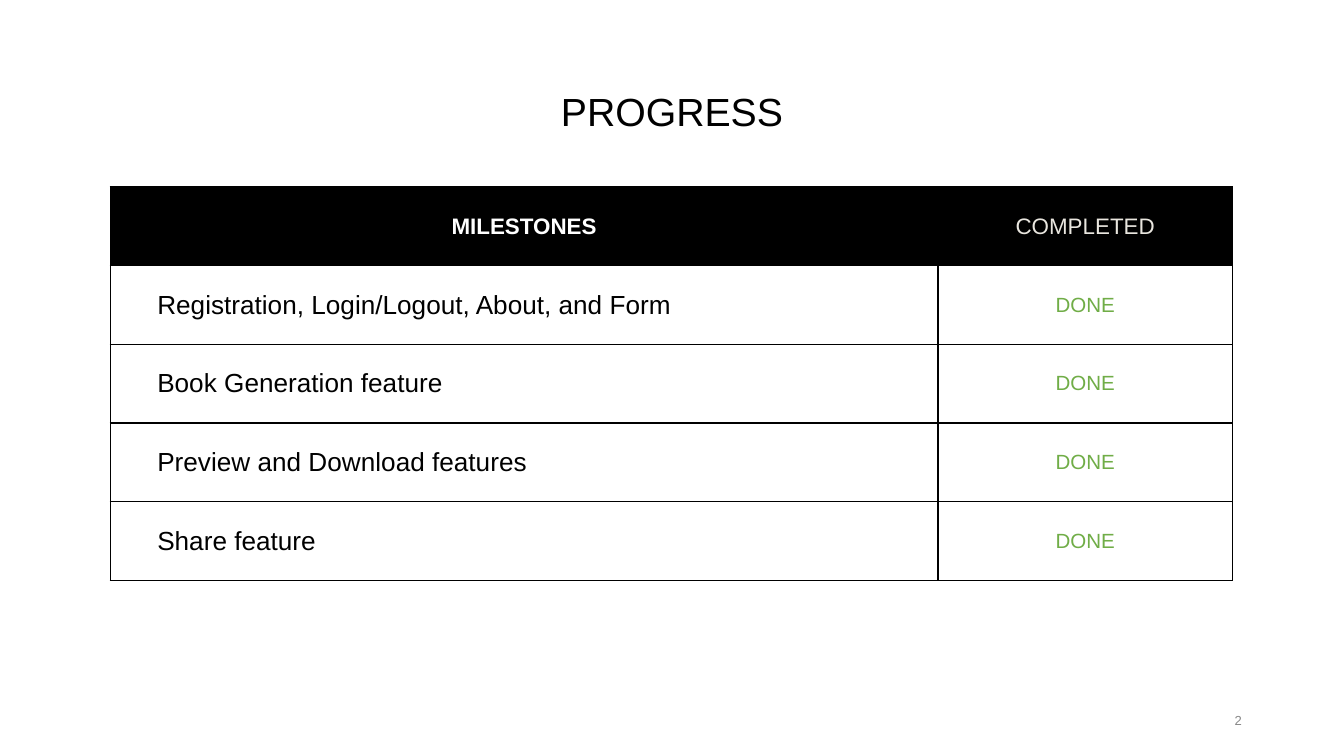
from lxml import etree
from pptx import Presentation
from pptx.dml.color import RGBColor
from pptx.enum.text import MSO_ANCHOR, PP_ALIGN
from pptx.oxml.ns import qn
from pptx.util import Inches, Pt

BLACK = RGBColor(0x00, 0x00, 0x00)
WHITE = RGBColor(0xFF, 0xFF, 0xFF)
CREAM = RGBColor(0xE9, 0xE6, 0xDF)
GREEN = RGBColor(0x70, 0xAD, 0x47)
GRAY = RGBColor(0x88, 0x88, 0x88)
FONT = "Arial"

TITLE = "PROGRESS"
PAGE_NUMBER = "2"
HEADINGS = ("MILESTONES", "COMPLETED")
MILESTONES = [
    ("Registration, Login/Logout, About, and Form", "DONE"),
    ("Book Generation feature", "DONE"),
    ("Preview and Download features", "DONE"),
    ("Share feature", "DONE"),
]

# Per column: size, colour, bold, alignment, left margin
HEADING_STYLES = [
    (12, WHITE, True, PP_ALIGN.CENTER, 0.07),
    (12, CREAM, False, PP_ALIGN.CENTER, 0.07),
]
MILESTONE_STYLES = [
    (14, BLACK, False, PP_ALIGN.LEFT, 0.35),
    (11, GREEN, False, PP_ALIGN.CENTER, 0.07),
]

SLIDE_WIDTH = 10
SLIDE_HEIGHT = SLIDE_WIDTH * 9 / 16
TABLE_LEFT, TABLE_TOP = 0.82, 1.39
TABLE_HEIGHT = 2.93
COLUMN_WIDTHS = (6.16, 2.19)


def format_paragraph(paragraph, size, color, bold, align):
    paragraph.alignment = align
    for run in paragraph.runs:
        run.font.name = FONT
        run.font.size = Pt(size)
        run.font.bold = bold
        run.font.color.rgb = color


def fill_frame(frame, text, size, color, align):
    """Put one vertically centred line into a shape's text frame."""
    frame.text = text
    frame.word_wrap = True
    frame.vertical_anchor = MSO_ANCHOR.MIDDLE
    frame.margin_left = frame.margin_right = Inches(0.07)
    frame.margin_top = frame.margin_bottom = Inches(0.04)
    format_paragraph(frame.paragraphs[0], size, color, False, align)


def add_borders(cell):
    properties = cell._tc.get_or_add_tcPr()
    for side in ("lnL", "lnR", "lnT", "lnB"):
        line = etree.SubElement(properties, qn(f"a:{side}"), w=str(Pt(0.75)))
        solid = etree.SubElement(line, qn("a:solidFill"))
        etree.SubElement(solid, qn("a:srgbClr"), val=str(BLACK))


def fill_cell(cell, text, style, background):
    size, color, bold, align, margin_left = style
    cell.text = text
    cell.vertical_anchor = MSO_ANCHOR.MIDDLE
    cell.margin_left, cell.margin_right = Inches(margin_left), Inches(0.07)
    cell.margin_top = cell.margin_bottom = Inches(0.05)
    format_paragraph(cell.text_frame.paragraphs[0], size, color, bold, align)
    add_borders(cell)
    if background is None:
        cell.fill.background()
    else:
        cell.fill.solid()
        cell.fill.fore_color.rgb = background


def add_milestone_table(slide):
    rows = [HEADINGS, *MILESTONES]
    table = slide.shapes.add_table(
        len(rows), len(COLUMN_WIDTHS), Inches(TABLE_LEFT), Inches(TABLE_TOP),
        Inches(sum(COLUMN_WIDTHS)), Inches(TABLE_HEIGHT),
    ).table
    table.first_row = table.horz_banding = False
    for column, width in zip(table.columns, COLUMN_WIDTHS):
        column.width = Inches(width)
    for r, row in enumerate(rows):
        styles, background = (MILESTONE_STYLES, None) if r else (HEADING_STYLES, BLACK)
        for c, text in enumerate(row):
            fill_cell(table.cell(r, c), text, styles[c], background)


def main():
    presentation = Presentation()
    presentation.slide_width = Inches(SLIDE_WIDTH)
    presentation.slide_height = Inches(SLIDE_HEIGHT)
    slide = presentation.slides.add_slide(presentation.slide_layouts[5])

    title = slide.shapes.title
    title.left, title.top = Inches(0.69), Inches(0.3)
    title.width, title.height = Inches(8.62), Inches(1.09)
    fill_frame(title.text_frame, TITLE, 21, BLACK, PP_ALIGN.CENTER)
    title.text_frame.paragraphs[0].line_spacing = 0.9

    add_milestone_table(slide)

    page = slide.shapes.add_textbox(Inches(7.06), Inches(5.21), Inches(2.25), Inches(0.3))
    fill_frame(page.text_frame, PAGE_NUMBER, 7, GRAY, PP_ALIGN.RIGHT)

    presentation.save("out.pptx")


if __name__ == "__main__":
    main()
